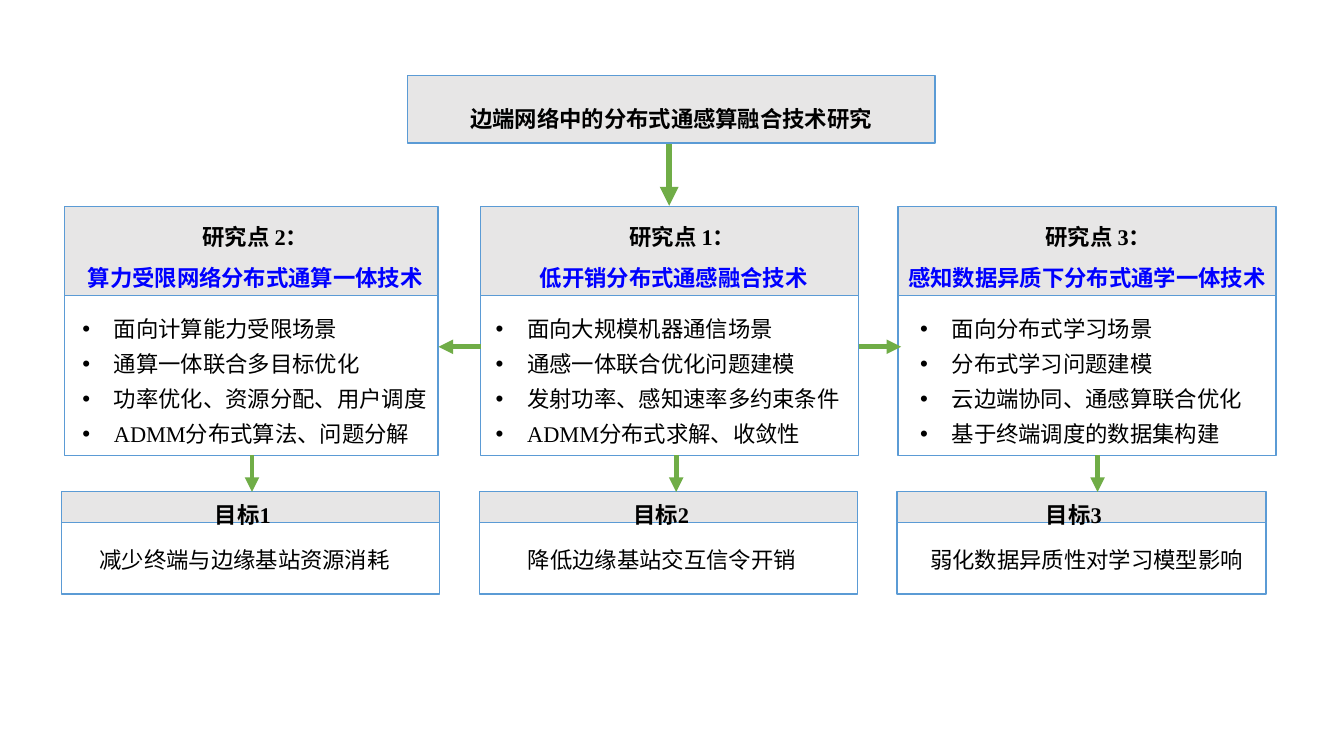
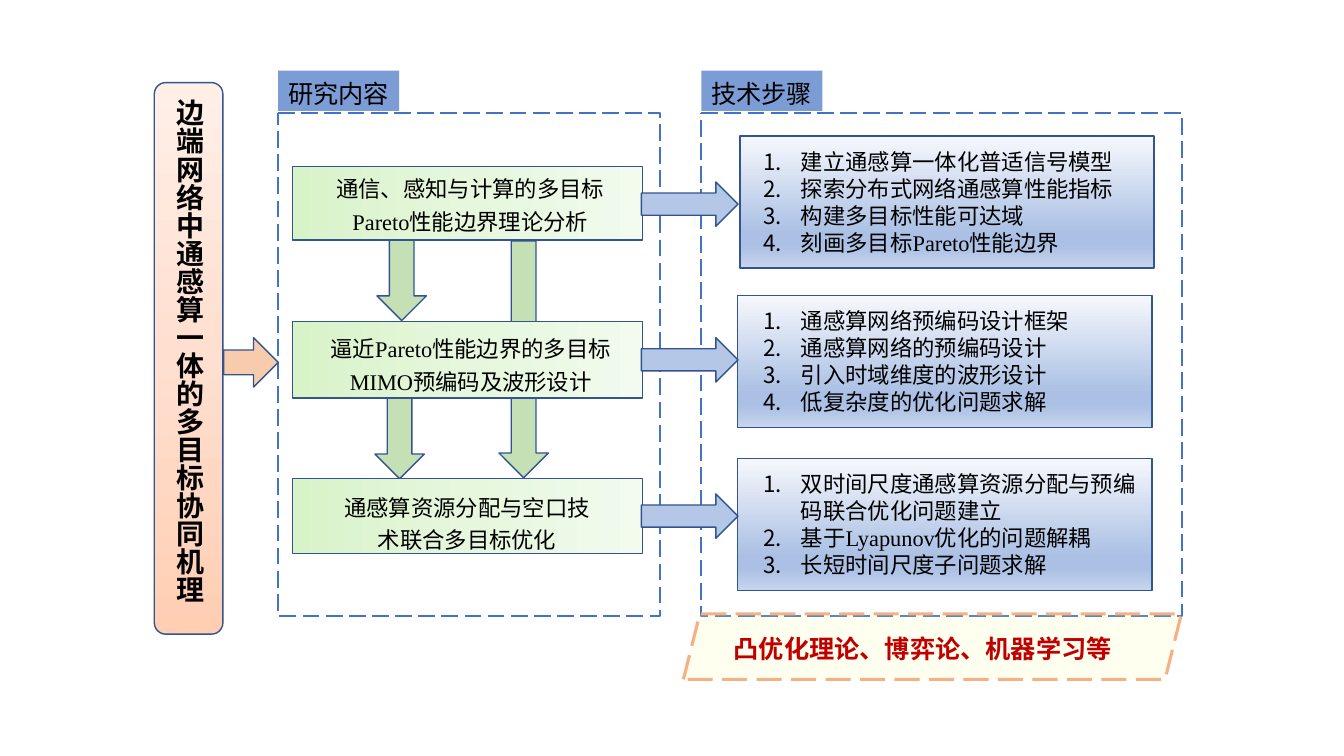
from lxml import etree
from pptx import Presentation
from pptx.dml.color import RGBColor
from pptx.enum.dml import MSO_LINE
from pptx.enum.shapes import MSO_CONNECTOR, MSO_SHAPE
from pptx.enum.text import MSO_ANCHOR, PP_ALIGN
from pptx.oxml.ns import qn
from pptx.util import Pt

RECT = MSO_SHAPE.RECTANGLE
ROUNDED = MSO_SHAPE.ROUNDED_RECTANGLE
PROCESS = MSO_SHAPE.FLOWCHART_PROCESS
SLANTED = MSO_SHAPE.PARALLELOGRAM
RIGHT = MSO_SHAPE.RIGHT_ARROW
DOWN = MSO_SHAPE.DOWN_ARROW
STRAIGHT = MSO_CONNECTOR.STRAIGHT
LONG_DASH = MSO_LINE.LONG_DASH
LEFT, CENTER = PP_ALIGN.LEFT, PP_ALIGN.CENTER
TOP, MIDDLE = MSO_ANCHOR.TOP, MSO_ANCHOR.MIDDLE

COLORS = {
    "black": "000000", "heading": "0000FF", "theory": "C00000",
    "header": "E7E6E6", "border": "5B9BD5", "flow": "70AD47",
    "outline": "325491", "frame": "4472C4", "banner": "FFFF99",
    "banner_edge": "F4B183", "entry": "F8CBAD", "next": "C5E0B4",
    "steps": "B4C7E7",
}
GRADIENTS = {
    "topic": (90, [(0, "FFEFE7"), (50, "FFDFCF"), (100, "FFCEB3")]),
    "content": (0, [(0, "D9F3C9"), (50, "E6F7DD"), (100, "F2FBEE")]),
    "step_list": (90, [(0, "F6F8FC"), (74, "ABC0E4"), (83, "ABC0E4"), (100, "C7D5ED")]),
}
LATIN, CJK = "Times New Roman", "Noto Sans CJK SC"
MARKS = {
    "bullet": (22.5, "Arial", "buChar", {"char": "•"}),
    "number": (27, CJK, "buAutoNum", {"type": "arabicPeriod"}),
}


def rgb(name):
    return RGBColor.from_string(COLORS[name])


class Deck:
    """Holds the shared style and the slide being drawn."""

    def __init__(self):
        self.presentation = Presentation()
        self.presentation.slide_width = Pt(960)
        self.presentation.slide_height = Pt(540)
        self.slide = None

    def new_slide(self):
        blank = self.presentation.slide_layouts[6]
        self.slide = self.presentation.slides.add_slide(blank)

    def shape(self, kind, box, fill=None, line="outline", width=1, dash=None, alpha=None):
        shape = self.slide.shapes.add_shape(kind, *map(Pt, box))
        shape.shadow.inherit = False
        if fill in GRADIENTS:
            self.gradient(shape.fill, shape._element.spPr, *GRADIENTS[fill])
        elif fill:
            shape.fill.solid()
            shape.fill.fore_color.rgb = rgb(fill)
        else:
            shape.fill.background()
        if alpha:
            color = shape._element.spPr.find(qn("a:solidFill"))[0]
            etree.SubElement(color, qn("a:alpha"), val=str(alpha * 1000))
        if line:
            shape.line.color.rgb = rgb(line)
            shape.line.width = Pt(width)
            shape.line.dash_style = dash
        else:
            shape.line.fill.background()

    def gradient(self, fill, properties, angle, stops):
        fill.gradient()
        fill.gradient_angle = -angle % 360
        stop_list = properties.find(qn("a:gradFill")).find(qn("a:gsLst"))
        for stop in list(stop_list):
            stop_list.remove(stop)
        for position, color in stops:
            stop = etree.SubElement(stop_list, qn("a:gs"), pos=str(position * 1000))
            etree.SubElement(stop, qn("a:srgbClr"), val=color)

    def text(self, box, lines, size=16, pitch=19.3, align=LEFT, bold=False, colors=("black",),
             latin=LATIN, mark=None, indent=0, anchor=TOP, vertical=False):
        frame = self.slide.shapes.add_textbox(*map(Pt, box)).text_frame
        layout = {"word_wrap": True, "vertical_anchor": anchor, "margin_top": Pt(4.8)}
        for name, value in layout.items():
            setattr(frame, name, value)
        if vertical:
            frame._txBody.bodyPr.set("vert", "eaVert")
        for index, line in enumerate(lines):
            paragraph = frame.paragraphs[0] if index == 0 else frame.add_paragraph()
            paragraph.alignment = align
            if pitch:
                paragraph.line_spacing = Pt(pitch)
            properties = paragraph._p.get_or_add_pPr()
            if mark:
                hang, face, tag, values = MARKS[mark]
                properties.set("marL", str(Pt(hang)))
                properties.set("indent", str(-Pt(hang)))
                etree.SubElement(properties, qn("a:buFont"), typeface=face)
                etree.SubElement(properties, qn("a:" + tag), values)
            elif indent and index == 0:
                properties.set("marL", str(Pt(indent)))
            run = paragraph.add_run()
            run.text = line
            for name, value in {"size": Pt(size), "bold": bold, "name": latin}.items():
                setattr(run.font, name, value)
            run.font.color.rgb = rgb(colors[min(index, len(colors) - 1)])
            etree.SubElement(run._r.get_or_add_rPr(), qn("a:ea"), typeface=CJK)

    def arrow(self, start, end, width=3.5):
        connector = self.slide.shapes.add_connector(STRAIGHT, *map(Pt, (*start, *end)))
        connector.line.color.rgb = rgb("flow")
        connector.line.width = Pt(width)
        properties = connector._element.spPr
        etree.SubElement(properties.find(qn("a:ln")), qn("a:tailEnd"), type="triangle")
        etree.SubElement(properties, qn("a:effectLst"))

    def headed_box(self, left, top, width, head, body):
        self.shape(RECT, (left, top + head, width, body), line="border")
        self.shape(RECT, (left, top, width, head), "header", "border")


def research_points(deck):
    deck.new_slide()
    heading = {"pitch": 29, "align": CENTER, "bold": True}
    deck.shape(RECT, (291, 54, 377, 48.2), "header", "border")
    deck.text((291, 60.5, 377, 32.4), ["边端网络中的分布式通感算融合技术研究"], **heading)
    deck.arrow((478, 103), (478, 147), 4.5)

    points = [
        (46, 267, 2.9, 0, 51.8, "研究点 2：", "算力受限网络分布式通算一体技术",
         ["面向计算能力受限场景", "通算一体联合多目标优化",
          "功率优化、资源分配、用户调度", "ADMM分布式算法、问题分解"]),
        (343.4, 270, 2.9, 12, 347, "研究点 1：", "低开销分布式通感融合技术",
         ["面向大规模机器通信场景", "通感一体联合优化问题建模",
          "发射功率、感知速率多约束条件", "ADMM分布式求解、收敛性"]),
        (641.5, 270, 0, 16, 650.2, "研究点 3：", "感知数据异质下分布式通学一体技术",
         ["面向分布式学习场景", "分布式学习问题建模",
          "云边端协同、通感算联合优化", "基于终端调度的数据集构建"]),
    ]
    for left, width, shift, indent, list_left, label, topic, tasks in points:
        deck.headed_box(left, 147.6, width, 63.4, 114.2)
        deck.text((left + shift - 3, 144.7, width + 6, 62), [label, topic],
                  colors=("black", "heading"), indent=indent, **heading)
        deck.text((list_left, 214.4, 264, 105), tasks, pitch=25, mark="bullet")

    goals = [
        (44, 270, 64, 180, "目标1", "减少终端与边缘基站资源消耗"),
        (342.7, 270, 370, 483, "目标2", "降低边缘基站交互信令开销"),
        (640.8, 263.5, 657.4, 784, "目标3", "弱化数据异质性对学习模型影响"),
    ]
    for left, width, text_left, arrow_x, label, goal in goals:
        deck.headed_box(left, 351.2, width, 22, 51)
        deck.text((left + 1, 343.4, width - 13, 33), [label], **heading)
        deck.text((text_left, 385.2, 239, 28), [goal])
        deck.arrow((arrow_x, 325), (arrow_x, 351.4))

    for start, end in ((343.4, 313.2), (613.4, 643.7)):
        deck.arrow((start, 247.7), (end, 247.7))


def research_route(deck):
    deck.new_slide()
    deck.shape(ROUNDED, (110.2, 59, 49, 394), "topic")
    deck.text((103.7, 66.2, 63.4, 376), ["边端网络中通感算一体的多目标协同机理"], size=20,
              pitch=None, align=CENTER, bold=True, latin=CJK, anchor=MIDDLE, vertical=True)

    for left, top, height in ((269.3, 171.4, 57.6), (356.4, 172, 169.2), (267.8, 284.4, 57.6)):
        deck.shape(DOWN, (left, top, 35.3, height), "next")

    for left, width, label in ((198.7, 273, "研究内容"), (501, 343.4, "技术步骤")):
        deck.shape(PROCESS, (left, 80.6, width, 359.3), line="frame", width=1.5, dash=LONG_DASH)
        deck.shape(RECT, (left, 50.4, 86.4, 28.8), "frame", None, alpha=70)
        deck.text((left, 51.2, 92, 28.8), [label], size=18, pitch=21.7, latin=CJK)

    contents = [
        (118.8, 52.6, 222.5, 116.6, 227, "通信、感知与计算的多目标Pareto性能边界理论分析"),
        (229.7, 54.7, 220.3, 230.9, 232, "逼近Pareto性能边界的多目标MIMO预编码及波形设计"),
        (342, 53.3, 234, 343.9, 199.4, "通感算资源分配与空口技术联合多目标优化"),
    ]
    for top, height, text_left, text_top, text_width, content in contents:
        deck.shape(RECT, (208.8, top, 250, height), "content")
        deck.text((text_left, text_top, text_width, 52), [content], pitch=23.2, align=CENTER)

    step_lists = [
        (528.5, 97.2, ["建立通感算一体化普适信号模型", "探索分布式网络通感算性能指标",
                       "构建多目标性能可达域", "刻画多目标Pareto性能边界"]),
        (527, 211, ["通感算网络预编码设计框架", "通感算网络的预编码设计",
                    "引入时域维度的波形设计", "低复杂度的优化问题求解"]),
        (527, 327.6, ["双时间尺度通感算资源分配与预编码联合优化问题建立",
                      "基于Lyapunov优化的问题解耦", "长短时间尺度子问题求解"]),
    ]
    for left, top, steps in step_lists:
        deck.shape(RECT, (left, top, 296, 94.3), "step_list")
        deck.text((538, top + 3.4, 296, 85), steps, mark="number")

    deck.shape(RIGHT, (159.8, 241.2, 39, 35.3), "entry")
    for top in (130, 241.2, 352.8):
        deck.shape(RIGHT, (458.2, top, 69, 31.7), "steps")

    deck.shape(SLANTED, (488.2, 438.5, 355.7, 46.8), "banner", "banner_edge", 2.25, LONG_DASH, 15)
    deck.text((517, 447.1, 299, 29), ["凸优化理论、博弈论、机器学习等"], size=18, pitch=21.7,
              bold=True, colors=("theory",), latin=CJK)


def main():
    deck = Deck()
    research_points(deck)
    research_route(deck)
    deck.presentation.save("out.pptx")


if __name__ == "__main__":
    main()
